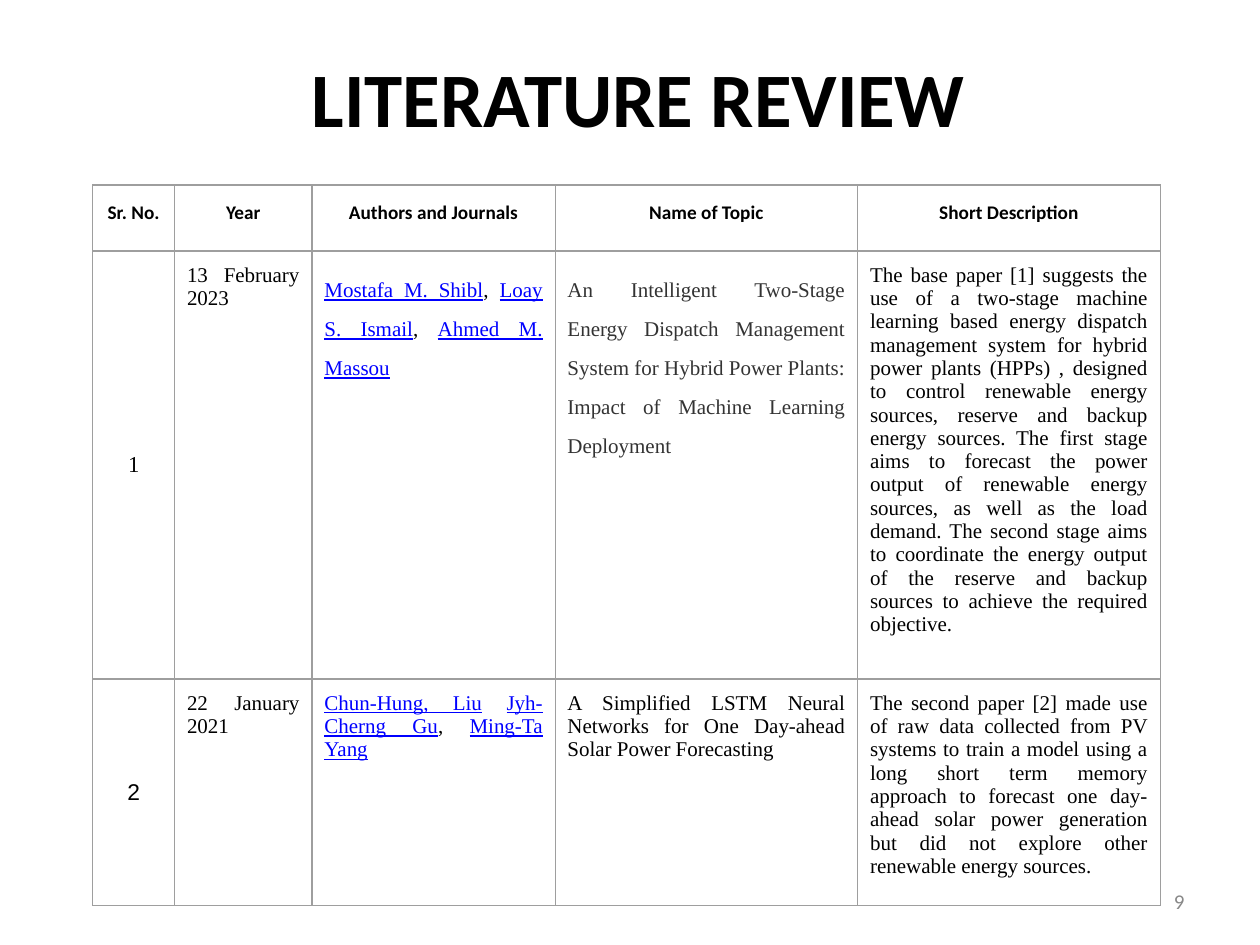
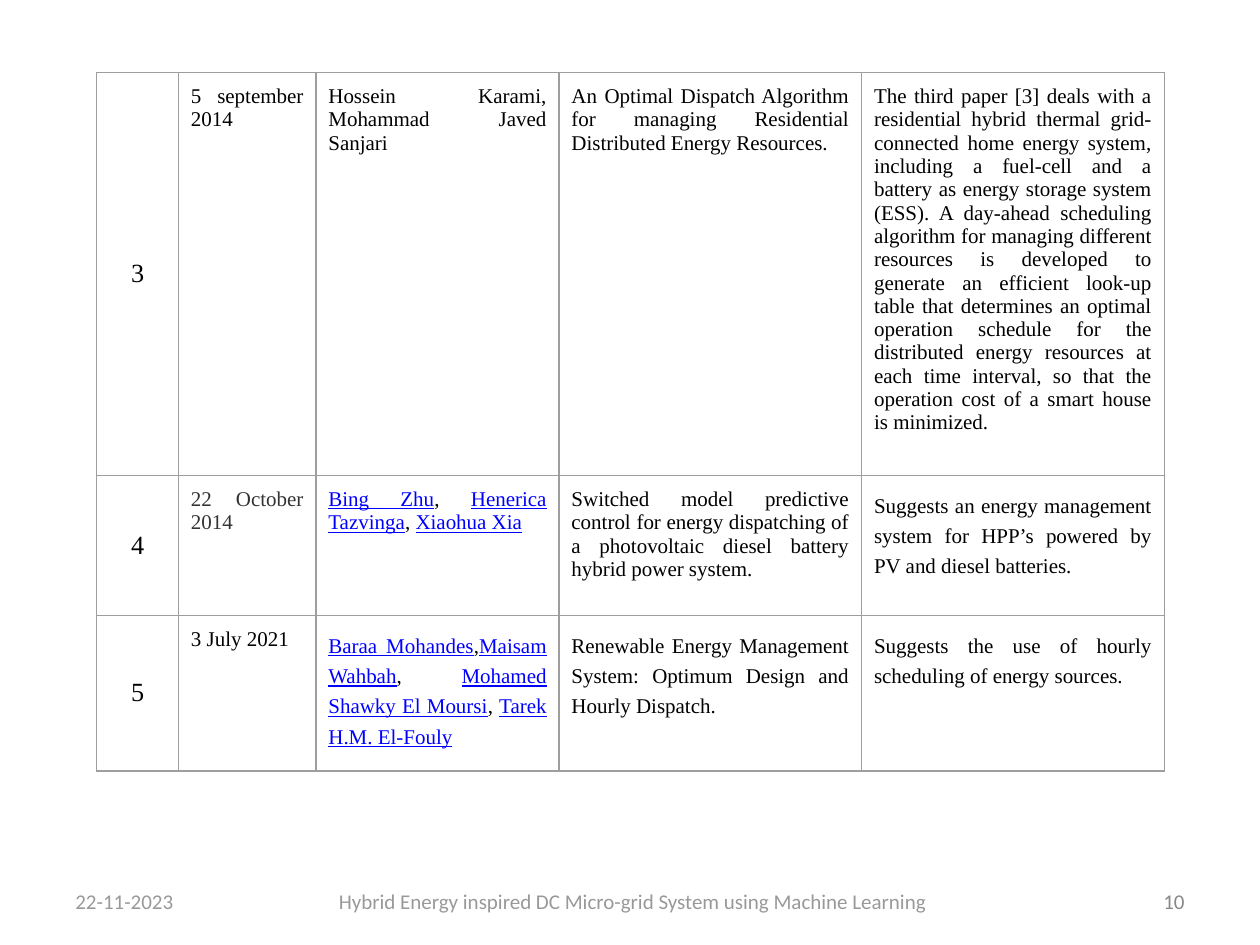
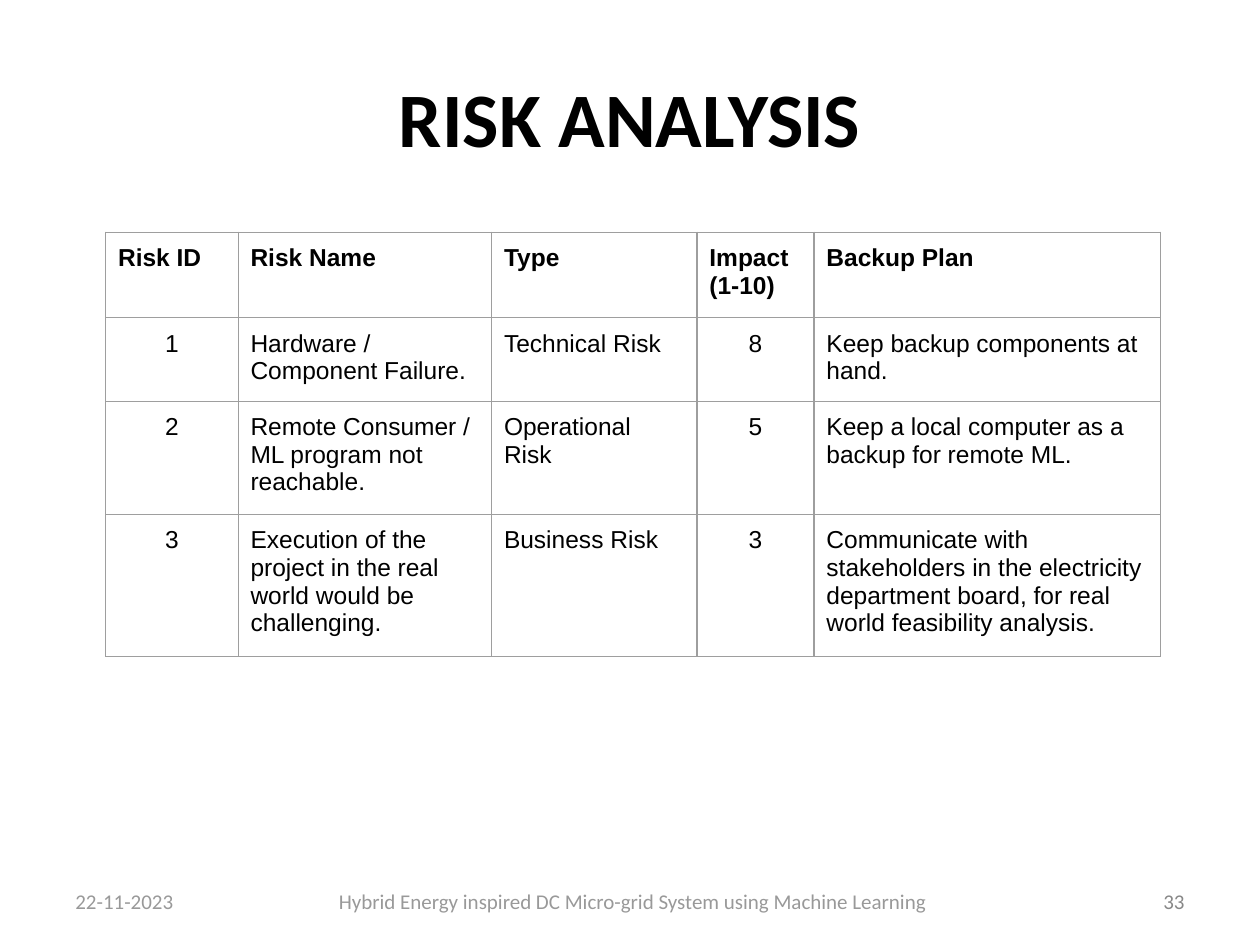
from dataclasses import dataclass
from functools import partial

from lxml.etree import SubElement
from pptx import Presentation
from pptx.dml.color import RGBColor
from pptx.enum.text import MSO_ANCHOR as ANCHOR, MSO_AUTO_SIZE as AUTO, PP_ALIGN as ALIGN
from pptx.oxml.ns import qn
from pptx.util import Cm, Pt

BLACK, GREY_TEXT, LINK = "000000", "333333", "0000FF"
BORDER, PAGE_GREY, FOOTER_GREY = "9E9E9E", "888888", "999999"
SERIF, SANS, HEADING = "Times New Roman", "Arial", "Calibri"

FOOTER_BOX = (1.27, 17.65, 20.47, 1.02)
PAGE_BOX = (18.21, 17.65, 5.92, 1.02)
FOOTER_TAB = 5.31
FOOTER = "22-11-2023\tHybrid Energy inspired DC Micro-grid System using Machine Learning"
REVIEW_COLS = (1.65, 2.77, 4.9, 6.1, 6.1)
RISK_COLS = (2.67, 5.11, 4.14, 2.36, 6.99)


@dataclass
class Cell:
    text: str | tuple
    size: float = 12
    font: str = SERIF
    color: str = BLACK
    bold: bool = False
    align: ALIGN = ALIGN.JUSTIFY
    spacing: float = 1.0
    anchor: ANCHOR = ANCHOR.TOP


Head = partial(Cell, size=11, font=HEADING, bold=True, align=ALIGN.CENTER, spacing=1.15)
Number = partial(Cell, size=13, align=ALIGN.CENTER, anchor=ANCHOR.MIDDLE)
RiskHead = partial(Cell, size=14, font=SANS, bold=True, align=ALIGN.LEFT)
RiskText = partial(RiskHead, bold=False)
RiskNumber = partial(RiskText, align=ALIGN.CENTER)

REVIEW_HEAD = [Head(t) for t in (
    "Sr. No.", "Year", "Authors and Journals", "Name of Topic", "Short Description")]

REVIEW_FIRST = [
    REVIEW_HEAD,
    [
        Number("1"),
        Cell("13 February 2023"),
        Cell(("Mostafa M. Shibl", ", ", "Loay S. Ismail", ", ", "Ahmed M. Massou"), spacing=1.67),
        Cell("An Intelligent Two-Stage Energy Dispatch Management System for Hybrid Power "
             "Plants: Impact of Machine Learning Deployment", color=GREY_TEXT, spacing=1.67),
        Cell("The base paper [1] suggests the use of a two-stage machine learning based energy "
             "dispatch management system for hybrid power plants (HPPs) , designed to control "
             "renewable energy sources, reserve and backup energy sources. The first stage aims "
             "to forecast the power output of renewable energy sources, as well as the load "
             "demand. The second stage aims to coordinate the energy output of the reserve and "
             "backup sources to achieve the required objective."),
    ],
    [
        Number("2", font=SANS),
        Cell("22 January 2021"),
        Cell(("Chun-Hung, Liu", " ", "Jyh-Cherng Gu", ", ", "Ming-Ta Yang")),
        Cell("A Simplified LSTM Neural Networks for One Day-ahead Solar Power Forecasting"),
        Cell("The second paper [2] made use of raw data collected from PV systems to train a "
             "model using a long short term memory approach to forecast one day-ahead solar "
             "power generation but did not explore other renewable energy sources."),
    ],
]

REVIEW_SECOND = [
    [
        Number("3", size=15),
        Cell("5 september 2014"),
        Cell("Hossein Karami, Mohammad Javed Sanjari"),
        Cell("An Optimal Dispatch Algorithm for managing Residential Distributed Energy Resources."),
        Cell("The third paper [3] deals with a residential hybrid thermal grid-connected home "
             "energy system, including a fuel-cell and a battery as energy storage system (ESS). "
             "A day-ahead scheduling algorithm for managing different resources is developed to "
             "generate an efficient look-up table that determines an optimal operation schedule "
             "for the distributed energy resources at each time interval, so that the operation "
             "cost of a smart house is minimized."),
    ],
    [
        Number("4", size=15),
        Cell("22 October 2014", color=GREY_TEXT),
        Cell(("Bing Zhu", ", ", "Henerica Tazvinga", ", ", "Xiaohua Xia")),
        Cell("Switched model predictive control for energy dispatching of a photovoltaic diesel "
             "battery hybrid power system."),
        Cell("Suggests an energy management system for HPP’s powered by PV and diesel batteries.",
             spacing=1.3),
    ],
    [
        Number("5", size=15),
        Cell("3 July 2021"),
        Cell(("Baraa Mohandes", ",", "Maisam Wahbah", ", ", "Mohamed Shawky El Moursi", ", ",
              "Tarek H.M. El-Fouly"), spacing=1.3),
        Cell("Renewable Energy Management System: Optimum Design and Hourly Dispatch.",
             spacing=1.3),
        Cell("Suggests the use of hourly scheduling of energy sources.", spacing=1.3),
    ],
]

RISK_LIST = [
    ("1", "Hardware / Component Failure.", "Technical Risk", "8",
     "Keep backup components at hand."),
    ("2", "Remote Consumer / ML program not reachable.", "Operational Risk", "5",
     "Keep a local computer as a backup for remote ML."),
    ("3", "Execution of the project in the real world would be challenging.", "Business Risk", "3",
     "Communicate with stakeholders in the electricity department board, for real world "
     "feasibility analysis."),
]
RISKS = [[RiskHead(t) for t in ("Risk ID", "Risk Name", "Type", "Impact (1-10)", "Backup Plan")]]
RISKS += [[RiskNumber(t) if t.isdigit() else RiskText(t) for t in row] for row in RISK_LIST]


def rgb(value):
    return RGBColor.from_string(value)


def add_run(p, text, font, size, color, bold=False, underline=False):
    r = p.add_run()
    r.text = text
    r.font.name, r.font.size = font, Pt(size)
    r.font.bold, r.font.underline = bold, underline
    r.font.color.rgb = rgb(color)


def add_title(slide, text, box):
    sp = slide.shapes.title
    sp.left, sp.top, sp.width, sp.height = map(Cm, box)
    tf = sp.text_frame
    tf.auto_size, tf.vertical_anchor = AUTO.NONE, ANCHOR.MIDDLE
    p = tf.paragraphs[0]
    p.alignment = ALIGN.CENTER
    add_run(p, text, HEADING, 44, BLACK, bold=True)


def add_label(slide, text, box, color, align):
    tf = slide.shapes.add_textbox(*map(Cm, box)).text_frame
    tf.word_wrap, tf.vertical_anchor = True, ANCHOR.MIDDLE
    p = tf.paragraphs[0]
    p.alignment = align
    add_run(p, text, HEADING, 12, color)
    return p


def add_page_number(slide, number):
    add_label(slide, str(number), PAGE_BOX, PAGE_GREY, ALIGN.RIGHT)


def add_footer(slide):
    p = add_label(slide, FOOTER, FOOTER_BOX, FOOTER_GREY, ALIGN.LEFT)
    tabs = SubElement(p._p.get_or_add_pPr(), qn("a:tabLst"))
    SubElement(tabs, qn("a:tab"), pos=str(Cm(FOOTER_TAB)), algn="l")


def set_borders(cell):
    tc_pr = cell._tc.get_or_add_tcPr()
    for side in ("a:lnL", "a:lnR", "a:lnT", "a:lnB"):
        ln = SubElement(tc_pr, qn(side), w=str(Pt(0.75)))
        SubElement(SubElement(ln, qn("a:solidFill")), qn("a:srgbClr"), val=BORDER)


def fill_cell(cell, data):
    set_borders(cell)
    cell.fill.background()
    cell.vertical_anchor = data.anchor
    cell.margin_left = cell.margin_right = cell.margin_top = cell.margin_bottom = Cm(0.25)
    p = cell.text_frame.paragraphs[0]
    p.alignment, p.line_spacing = data.align, data.spacing
    if isinstance(data.text, str):
        add_run(p, data.text, data.font, data.size, data.color, data.bold)
        return
    for i, part in enumerate(data.text):
        is_author = i % 2 == 0
        add_run(p, part, data.font, data.size, LINK if is_author else data.color,
                underline=is_author)


def add_grid(slide, left, top, widths, heights, rows):
    box = map(Cm, (left, top, sum(widths), sum(heights)))
    table = slide.shapes.add_table(len(rows), len(widths), *box).table
    table.first_row = table.horz_banding = False
    for col, width in zip(table.columns, widths):
        col.width = Cm(width)
    for row, height, cells in zip(table.rows, heights, rows):
        row.height = Cm(height)
        for cell, data in zip(row.cells, cells):
            fill_cell(cell, data)


def main():
    prs = Presentation()
    prs.slide_width, prs.slide_height = Cm(25.4), Cm(19.05)
    title_only, blank = prs.slide_layouts[5], prs.slide_layouts[6]

    review = prs.slides.add_slide(title_only)
    add_title(review, "LITERATURE REVIEW", (1.45, 0.36, 22.86, 3.18))
    add_page_number(review, 9)
    add_grid(review, 1.87, 3.73, REVIEW_COLS, (1.33, 8.02, 4.27), REVIEW_FIRST)

    review_more = prs.slides.add_slide(blank)
    add_page_number(review_more, 10)
    add_grid(review_more, 1.95, 1.46, REVIEW_COLS, (7.56, 2.82, 2.94), REVIEW_SECOND)
    add_footer(review_more)

    risk = prs.slides.add_slide(title_only)
    add_title(risk, "RISK ANALYSIS", (1.27, 0.76, 22.86, 3.18))
    add_page_number(risk, 33)
    add_grid(risk, 2.13, 4.68, RISK_COLS, (1.72, 1.62, 2.16, 2.78), RISKS)
    add_footer(risk)

    prs.save("out.pptx")


if __name__ == "__main__":
    main()
